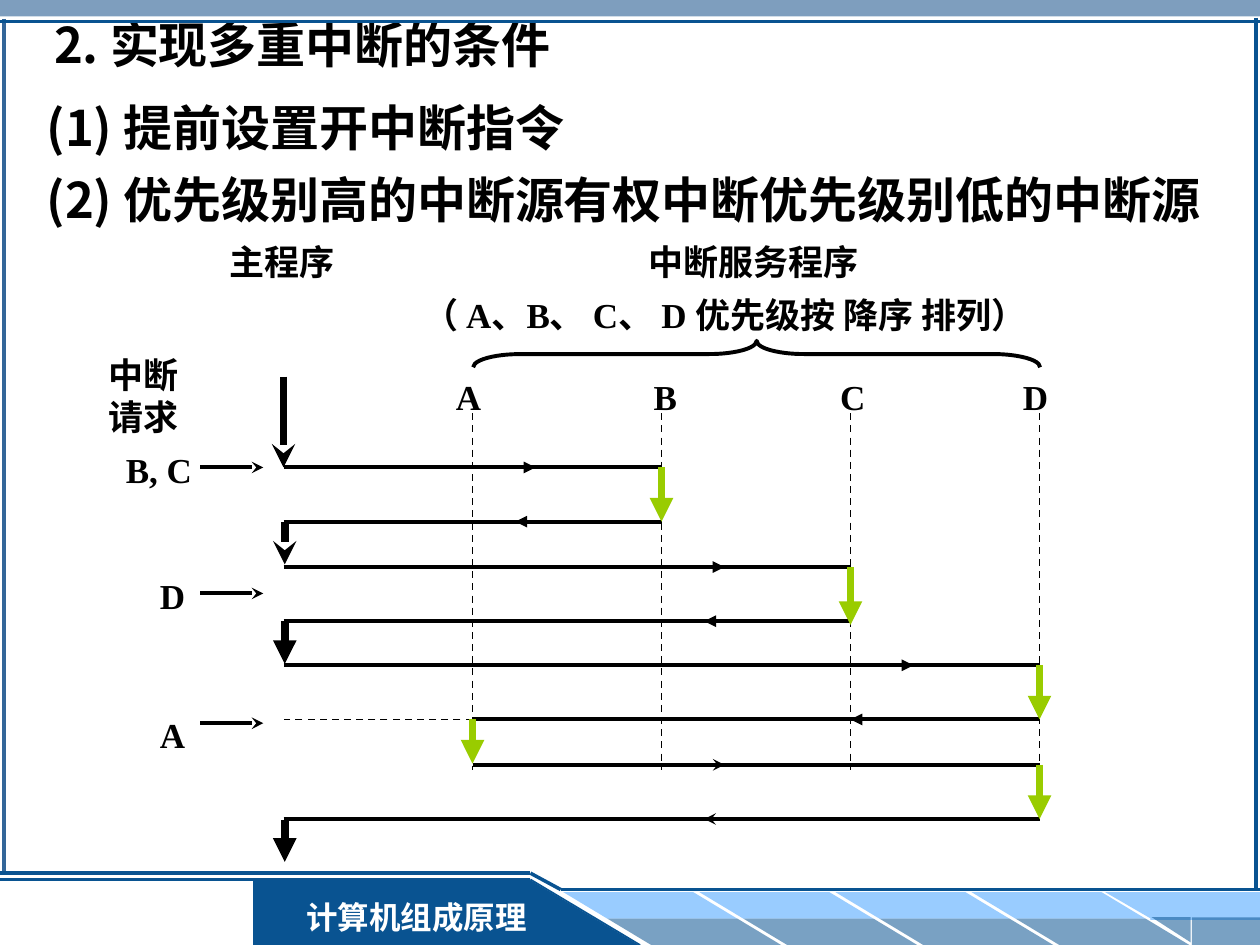
"""Build the slide on the conditions for nested interrupts."""
from lxml import etree
from pptx import Presentation
from pptx.dml.color import RGBColor
from pptx.enum import dml, shapes, text
from pptx.oxml.ns import qn
from pptx.util import Inches, Pt

BLACK = RGBColor(0x00, 0x00, 0x00)
WHITE = RGBColor(0xFF, 0xFF, 0xFF)
GREEN = RGBColor(0x99, 0xCC, 0x00)
NAVY = RGBColor(0x09, 0x53, 0x91)
STEEL = RGBColor(0x33, 0x66, 0x99)
SKY = RGBColor(0x99, 0xCC, 0xFF)
CJK = "Noto Sans CJK SC"
SERIF = "Times New Roman"


def write(sp, content, size=20, font=SERIF, color=BLACK, gap=0,
          align=text.PP_ALIGN.LEFT, anchor=text.MSO_ANCHOR.TOP):
    tf = sp.text_frame
    tf.text = content
    tf.word_wrap = True
    tf.auto_size = text.MSO_AUTO_SIZE.NONE
    tf.vertical_anchor = anchor
    for i, p in enumerate(tf.paragraphs):
        pPr = p._p.get_or_add_pPr()
        pPr.set("marL", "0")
        pPr.set("indent", "0")
        etree.SubElement(pPr, qn("a:buNone"))
        p.alignment = align
        p.space_before = Pt(gap if i else 0)
        r = p.runs[0]
        r.font.size, r.font.name, r.font.bold = Pt(size), font, True
        r.font.color.rgb = color
        etree.SubElement(r._r.get_or_add_rPr(), qn("a:ea")).set("typeface", CJK)


def line(x1, y1, x2, y2, color=BLACK, width=2.25, tail=None, dash=False):
    c = s.shapes.add_connector(shapes.MSO_CONNECTOR.STRAIGHT,
                               Inches(x1), Inches(y1), Inches(x2), Inches(y2))
    c.line.color.rgb = color
    c.line.width = Pt(width)
    if dash:
        c.line.dash_style = dml.MSO_LINE.DASH
    if tail:
        etree.SubElement(c.line._get_or_add_ln(), qn("a:tailEnd")).set("type", tail)
    etree.SubElement(c._element.spPr, qn("a:effectLst"))


prs = Presentation()
prs.slide_width, prs.slide_height = Inches(10), Inches(7.5)
s = prs.slides.add_slide(prs.slide_layouts[1])

RECT = shapes.MSO_SHAPE.RECTANGLE
SLANT = shapes.MSO_SHAPE.PARALLELOGRAM
CORNER = shapes.MSO_SHAPE.RIGHT_TRIANGLE
blocks = [
    (RECT, 0, 0, 10, 0.13, STEEL, 63, ""),
    (RECT, 2.01, 6.98, 2.2, 0.52, NAVY, 100, ""),
    (CORNER, 4.2, 6.98, 0.87, 0.52, NAVY, 100, ""),
    (RECT, 9.13, 7.08, 0.87, 0.22, SKY, 100, ""),
    (CORNER, 8.77, 7.08, 0.38, 0.22, SKY, 100, "HV"),
    (RECT, 9.46, 7.28, 0.54, 0.22, NAVY, 54, ""),
    (CORNER, 9.14, 7.28, 0.31, 0.2, NAVY, 54, "HV"),
]
for i in range(4):
    x = 4.47 + 1.08 * i
    blocks.append((SLANT, x, 7.08, 1.38, 0.21, SKY, 100, "H"))
    blocks.append((SLANT, x + 0.35, 7.29, 1.38, 0.21, NAVY, 54, "H"))
for kind, x, y, w, h, color, opacity, flips in blocks:
    sp = s.shapes.add_shape(kind, Inches(x), Inches(y), Inches(w), Inches(h))
    sp.shadow.inherit = False
    sp.fill.solid()
    sp.fill.fore_color.rgb = color
    sp.line.fill.background()
    if kind == SLANT:
        sp.adjustments[0] = 1.66
    for axis in flips:
        sp._element.spPr.xfrm.set("flip" + axis, "1")
    if opacity < 100:
        clr = sp._element.spPr.find(".//" + qn("a:srgbClr"))
        etree.SubElement(clr, qn("a:alpha")).set("val", str(opacity * 1000))

for x1, y1, x2, y2, color, width in [
    (0.03, 0.15, 0.03, 6.93, STEEL, 2),
    (0, 0.17, 10, 0.17, NAVY, 2),
    (9.97, 0.14, 9.97, 7.07, NAVY, 2),
    (5.08, 7.5, 4.21, 6.98, NAVY, 1),
    (4.21, 6.98, 0, 6.98, NAVY, 1.5),
    (0, 6.93, 4.21, 6.93, NAVY, 2),
    (4.21, 6.93, 4.45, 7.06, NAVY, 2),
    (4.45, 7.06, 10, 7.06, NAVY, 2),
]:
    line(x1, y1, x2, y2, color, width)

footer = s.shapes.add_textbox(Inches(2.28), Inches(7.08), Inches(2.05), Inches(0.4))
write(footer, "计算机组成原理", size=18, color=WHITE,
      align=text.PP_ALIGN.CENTER, anchor=text.MSO_ANCHOR.MIDDLE)

title, body = s.shapes.title, s.placeholders[1]
title.left, title.top, title.width, title.height = map(Inches, (0.43, 0.11, 6.77, 0.47))
write(title, "2. 实现多重中断的条件", size=28, font=CJK, anchor=text.MSO_ANCHOR.MIDDLE)
tf = title.text_frame
tf.margin_left = tf.margin_right = tf.margin_top = tf.margin_bottom = 0
body.left, body.top, body.width, body.height = map(Inches, (0.27, 0.72, 9.73, 1.14))
write(body, "(1) 提前设置开中断指令\n(2) 优先级别高的中断源有权中断优先级别低的中断源",
      size=28, font=CJK, gap=8)

for content, x, y, w, h in [
    ("主程序", 1.72, 1.86, 1.15, 0.44),
    ("中断服务程序", 5.05, 1.86, 2, 0.44),
    ("（ A、B、 C、 D 优先级按 降序 排列）", 3.26, 2.28, 5.8, 0.44),
    ("中断\n请求", 0.76, 2.76, 0.85, 0.77),
    ("A", 3.52, 2.93, 0.5, 0.44),
    ("B", 5.09, 2.93, 0.5, 0.44),
    ("C", 6.57, 2.93, 0.5, 0.44),
    ("D", 8.02, 2.93, 0.5, 0.44),
    ("B, C", 0.9, 3.51, 0.85, 0.44),
    ("D", 1.17, 4.51, 0.5, 0.44),
    ("A", 1.17, 5.61, 0.5, 0.44),
]:
    label = s.shapes.add_textbox(Inches(x), Inches(y), Inches(w), Inches(h))
    write(label, content)

brace = s.shapes.add_shape(shapes.MSO_SHAPE.LEFT_BRACE, Inches(5.9), Inches(0.56),
                           Inches(0.21), Inches(4.5))
brace.rotation = 90
brace.adjustments[0] = 1.79
brace.shadow.inherit = False
brace.fill.background()
brace.line.color.rgb = BLACK
brace.line.width = Pt(2.25)

MAIN = 2.25
A, B, C, D = (3.75 + 1.5 * i for i in range(4))
for x in (A, B, C, D):
    line(x, 3.28, x, 6.11, width=1, dash=True)
line(A, 5.71, MAIN, 5.71, width=1, dash=True)

for left, right, y, start, step, tail in [
    (MAIN, B, 3.71, 3.75, 0.5, "triangle"),
    (MAIN, B, 4.14, 4.59, -0.5, "triangle"),
    (MAIN, C, 4.5, 5.25, 0.5, "triangle"),
    (MAIN, C, 4.93, 6.09, -0.5, "triangle"),
    (MAIN, D, 5.28, 6.75, 0.5, "triangle"),
    (A, D, 5.71, 7.25, -0.5, "triangle"),
    (A, D, 6.07, 5.25, 0.5, "stealth"),
    (MAIN, D, 6.5, 6.09, -0.5, "stealth"),
]:
    line(left, y, right, y)
    line(start, y, start + step, y, tail=tail)

for y in (3.71, 4.71, 5.74):
    line(1.59, y, 2.09, y, tail="stealth")

for x, top, bottom, color, tail in [
    (MAIN, 2.99, 3.71, BLACK, "stealth"),
    (2.26, 4.14, 4.48, BLACK, "stealth"),
    (2.26, 4.93, 5.27, BLACK, "triangle"),
    (2.26, 6.51, 6.84, BLACK, "triangle"),
    (B, 3.71, 4.14, GREEN, "triangle"),
    (C, 4.5, 4.96, GREEN, "triangle"),
    (D, 5.28, 5.71, GREEN, "triangle"),
    (A, 5.71, 6.06, GREEN, "triangle"),
    (D, 6.07, 6.5, GREEN, "triangle"),
]:
    line(x, top, x, bottom, color, 4.5, tail)

prs.save("out.pptx")
